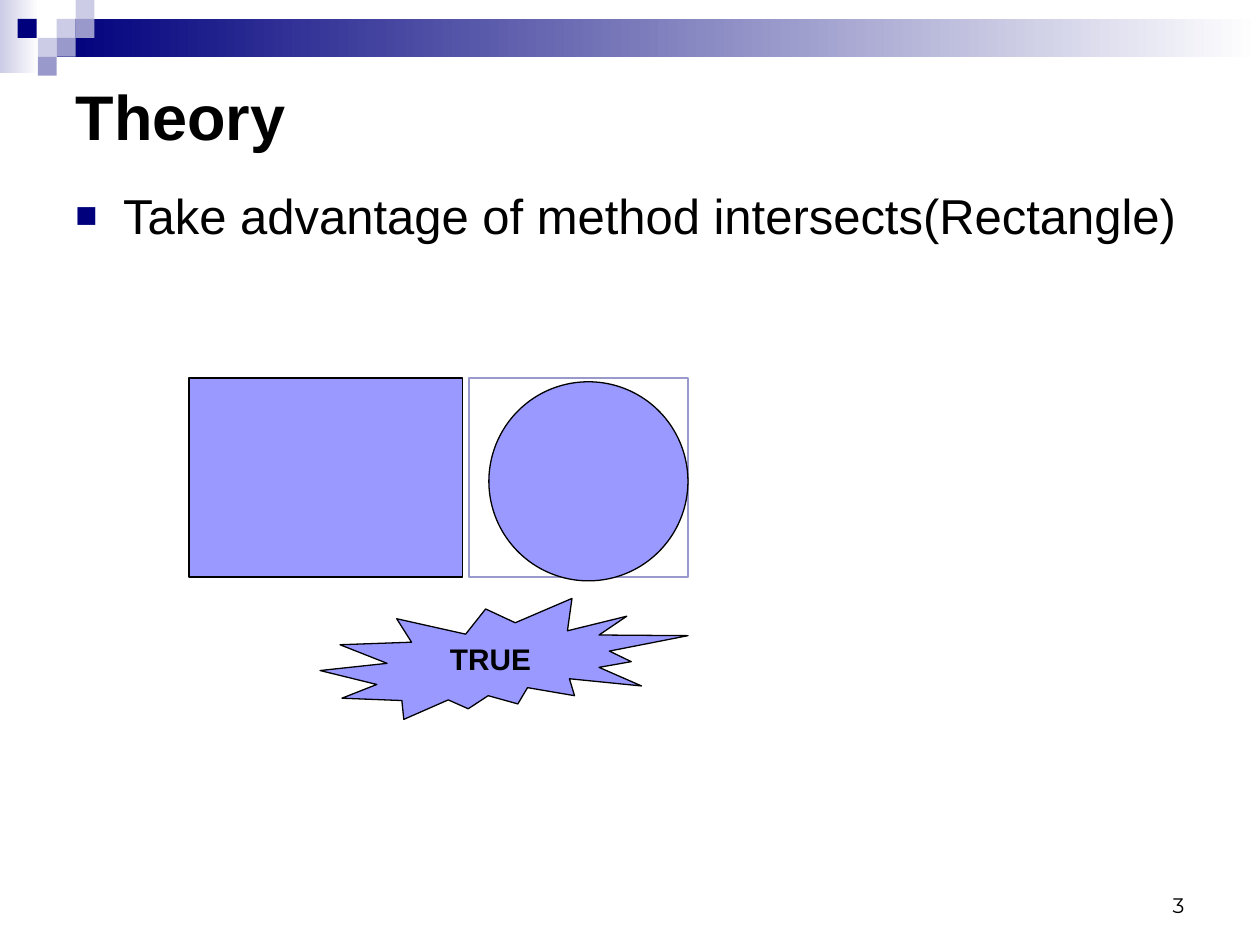
"""Build the Theory slide about rectangle intersection."""
from lxml import etree
from pptx import Presentation
from pptx.dml.color import RGBColor
from pptx.enum import shapes, text
from pptx.oxml import ns
from pptx.util import Inches, Pt

BLACK = RGBColor(0x00, 0x00, 0x00)
WHITE = RGBColor(0xFF, 0xFF, 0xFF)
NAVY = RGBColor(0x00, 0x00, 0x7D)
PALE = RGBColor(0xCC, 0xCC, 0xE6)
LAVENDER = RGBColor(0x99, 0x99, 0xCC)
PERIWINKLE = RGBColor(0x99, 0x99, 0xFF)

SQUARE = 0.15
BANNER_SQUARES = [
    (0.45, 0.15, PALE),
    (0.6, 0, PALE),
    (0.6, 0.15, LAVENDER),
    (0.3, 0.3, PALE),
    (0.14, 0.15, NAVY),
    (0.45, 0.3, LAVENDER),
    (0.3, 0.45, LAVENDER),
]


def add_figure(slide, kind, box, fill, line=None, width=0.75):
    """Add a preset shape with a plain fill and an optional outline."""
    shape = slide.shapes.add_shape(kind, *map(Inches, box))
    shape.shadow.inherit = False
    shape.fill.solid()
    shape.fill.fore_color.rgb = fill
    if line is None:
        shape.line.fill.background()
    else:
        shape.line.color.rgb = line
        shape.line.width = Pt(width)
    return shape


def add_fading_bar(slide, box, color):
    """Add a bar that fades from a colour to white."""
    bar = add_figure(slide, shapes.MSO_SHAPE.RECTANGLE, box, color)
    bar.fill.gradient()
    bar.fill.gradient_angle = 0
    for stop, shade in zip(bar.fill.gradient_stops, (color, WHITE)):
        stop.color.rgb = shade


def add_banner(slide):
    """Add the fading bars and the stepped squares at the top."""
    add_fading_bar(slide, (0, 0, 0.31, 0.58), PALE)
    add_fading_bar(slide, (0.45, 0.15, 9.55, 0.3), NAVY)
    for left, top, color in BANNER_SQUARES:
        box = (left, top, SQUARE, SQUARE)
        add_figure(slide, shapes.MSO_SHAPE.RECTANGLE, box, color)


def write(shape, words, size, align, anchor, font="Arial", bold=False):
    """Write one formatted paragraph into a shape and return it."""
    frame = shape.text_frame
    frame.word_wrap = True
    frame.auto_size = text.MSO_AUTO_SIZE.NONE
    frame.vertical_anchor = anchor
    paragraph = frame.paragraphs[0]
    paragraph.alignment = align
    run = paragraph.add_run()
    run.text = words
    run.font.name = font
    run.font.size = Pt(size)
    run.font.bold = bold
    run.font.color.rgb = BLACK
    return paragraph


def add_bullet(paragraph, color, indent):
    """Give a paragraph a small square bullet with a hanging indent."""
    properties = paragraph._p.get_or_add_pPr()
    properties.set("marL", str(Inches(indent)))
    properties.set("indent", str(-Inches(indent)))
    bullet_color = etree.SubElement(properties, ns.qn("a:buClr"))
    etree.SubElement(bullet_color, ns.qn("a:srgbClr"), val=str(color))
    etree.SubElement(properties, ns.qn("a:buSzPct"), val="75000")
    etree.SubElement(properties, ns.qn("a:buFont"), typeface="Arial")
    etree.SubElement(properties, ns.qn("a:buChar"), char="■")


def add_title(slide, words):
    """Place and fill the title placeholder."""
    title = slide.shapes.title
    title.left, title.top = Inches(0.5), Inches(0.5)
    title.width, title.height = Inches(9), Inches(0.83)
    write(title, words, 36, text.PP_ALIGN.LEFT, text.MSO_ANCHOR.MIDDLE, bold=True)


def add_text(slide, box, words, size, align, anchor, font="Arial"):
    """Add a text box and return its paragraph."""
    shape = slide.shapes.add_textbox(*map(Inches, box))
    return write(shape, words, size, align, anchor, font)


def add_intersection(slide):
    """Draw the rectangle, the bounded circle and the result burst."""
    kinds = shapes.MSO_SHAPE
    add_figure(slide, kinds.RECTANGLE, (1.5, 3, 2.17, 1.58), PERIWINKLE, BLACK)
    add_figure(slide, kinds.RECTANGLE, (3.72, 3, 1.74, 1.58), WHITE, LAVENDER, 1)
    add_figure(slide, kinds.OVAL, (3.88, 3.03, 1.58, 1.58), PERIWINKLE, BLACK)
    burst = add_figure(
        slide, kinds.EXPLOSION2, (2.54, 4.75, 2.92, 0.96), PERIWINKLE, BLACK
    )
    write(burst, "TRUE", 17, text.PP_ALIGN.CENTER, text.MSO_ANCHOR.TOP, bold=True)


def main():
    """Build and save the presentation."""
    presentation = Presentation()
    presentation.slide_width = Inches(10)
    presentation.slide_height = Inches(7.5)
    slide = presentation.slides.add_slide(presentation.slide_layouts[5])
    add_banner(slide)
    add_title(slide, "Theory")
    statement = add_text(
        slide, (0.5, 1.42, 9, 5.5), "Take advantage of method intersects(Rectangle)",
        28, text.PP_ALIGN.LEFT, text.MSO_ANCHOR.TOP,
    )
    add_bullet(statement, NAVY, 0.38)
    add_text(
        slide, (7.17, 7, 2.33, 0.33), "3",
        12, text.PP_ALIGN.RIGHT, text.MSO_ANCHOR.BOTTOM, "Montserrat",
    )
    add_intersection(slide)
    presentation.save("out.pptx")


if __name__ == "__main__":
    main()
